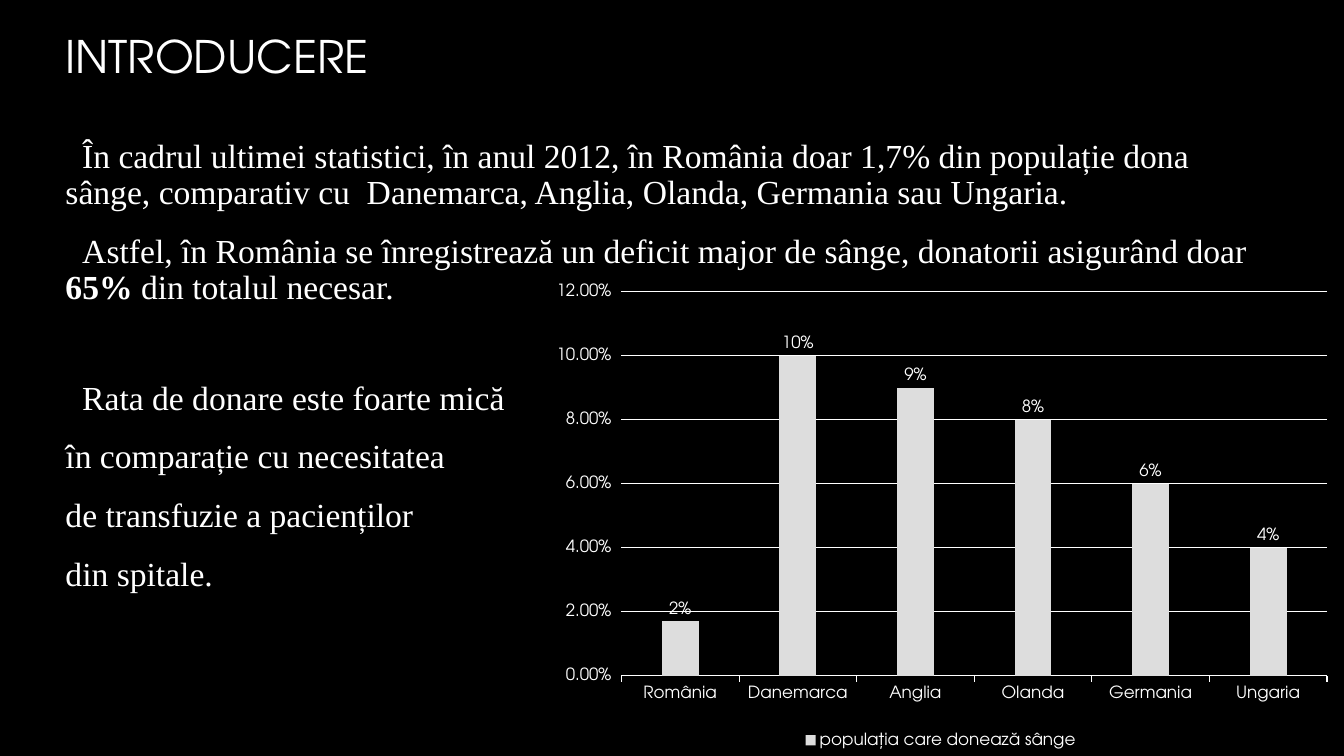
import pptx
import pptx.chart.data
import pptx.dml.color
import pptx.enum.chart
import pptx.enum.text
import pptx.oxml
import pptx.oxml.ns
import pptx.util

RGBColor = pptx.dml.color.RGBColor
BLACK = RGBColor(0x00, 0x00, 0x00)
WHITE = RGBColor(0xFF, 0xFF, 0xFF)
LIGHT_GREY = RGBColor(0xDD, 0xDD, 0xDD)

HEADING_FONT = "TeX Gyre Adventor"
BODY_FONT = "Times New Roman"
WIDTH, HEIGHT = 13.33, 7.5

GAP, WIDE_GAP = 16, 53  # points before a paragraph
INDENT = 12  # points
# (runs as (text, bold), first line indent, space before)
BODY = [
    ([("În cadrul ultimei statistici, în anul 2012, în România doar 1,7% din populație dona "
       "sânge, comparativ cu  Danemarca, Anglia, Olanda, Germania sau Ungaria.", False)],
     INDENT, GAP),
    ([("Astfel, în România se înregistrează un deficit major de sânge, donatorii asigurând doar ",
       False), ("65%", True), (" din totalul necesar.", False)], INDENT, GAP),
    ([("Rata de donare este foarte mică", False)], INDENT, WIDE_GAP),
    ([("în comparație cu necesitatea", False)], 0, GAP),
    ([("de transfuzie a pacienților", False)], 0, GAP),
    ([("din spitale.", False)], 0, GAP),
]

DONORS = {"România": 0.017, "Danemarca": 0.1, "Anglia": 0.09,
          "Olanda": 0.08, "Germania": 0.06, "Ungaria": 0.04}


def box_of(left, top, width, height):
    """Turn shares of the slide's size into lengths."""
    return [pptx.util.Inches(v) for v in
            (left * WIDTH, top * HEIGHT, width * WIDTH, height * HEIGHT)]


def style_font(font, size, name):
    font.size = pptx.util.Pt(size)
    font.name = name
    font.color.rgb = WHITE


def add_text_frame(s, box, anchor):
    tf = s.shapes.add_textbox(*box).text_frame
    tf.word_wrap = True
    tf.vertical_anchor = anchor
    tf.margin_left = tf.margin_right = pptx.util.Inches(0.13)
    tf.margin_top = tf.margin_bottom = pptx.util.Inches(0.07)
    return tf


def add_title(s, box):
    tf = add_text_frame(s, box, pptx.enum.text.MSO_ANCHOR.BOTTOM)
    p = tf.paragraphs[0]
    p.text = "INTRODUCERE"
    p.line_spacing = 0.8
    style_font(p.font, 32, HEADING_FONT)


def add_body(s, box):
    tf = add_text_frame(s, box, pptx.enum.text.MSO_ANCHOR.TOP)
    for i, (runs, indent, space) in enumerate(BODY):
        p = tf.add_paragraph() if i else tf.paragraphs[0]
        p.line_spacing = 0.9
        p.space_before = pptx.util.Pt(space)
        p._p.get_or_add_pPr().set("indent", str(pptx.util.Pt(indent)))
        style_font(p.font, 24, BODY_FONT)
        for text, bold in runs:
            r = p.add_run()
            r.text = text
            if bold:
                r.font.bold = True


def set_plot_area(chart, x, y, w, h):
    """Fix the inner plot area, in shares of the chart's size."""
    sizes = "".join(f'<c:{k} val="{v}"/>' for k, v in zip("xywh", (x, y, w, h)))
    layout = pptx.oxml.parse_xml(
        f'<c:layout {pptx.oxml.ns.nsdecls("c")}><c:manualLayout>'
        '<c:layoutTarget val="inner"/><c:xMode val="edge"/><c:yMode val="edge"/>'
        f'{sizes}</c:manualLayout></c:layout>')
    plot_area = chart._chartSpace.chart.plotArea
    for old in plot_area.findall(pptx.oxml.ns.qn("c:layout")):
        plot_area.remove(old)
    plot_area.insert(0, layout)


def style_line(line):
    line.color.rgb = WHITE
    line.width = pptx.util.Pt(0.75)


def add_donor_chart(s, box):
    data = pptx.chart.data.CategoryChartData(number_format="0.00%")
    data.categories = list(DONORS)
    data.add_series("populația care donează sânge", list(DONORS.values()))
    chart = s.shapes.add_chart(
        pptx.enum.chart.XL_CHART_TYPE.COLUMN_CLUSTERED, *box, data).chart
    style_font(chart.font, 12, HEADING_FONT)
    chart.has_title = False
    set_plot_area(chart, 0.104, 0.066, 0.875, 0.779)

    chart.has_legend = True
    chart.legend.position = pptx.enum.chart.XL_LEGEND_POSITION.BOTTOM
    chart.legend.include_in_layout = False
    style_font(chart.legend.font, 12, HEADING_FONT)

    style_line(chart.category_axis.format.line)
    axis = chart.value_axis
    axis.minimum_scale, axis.maximum_scale, axis.major_unit = 0, 0.12, 0.02
    axis.tick_labels.number_format = "0.00%"
    axis.tick_labels.number_format_is_linked = False
    axis.format.line.fill.background()
    style_line(axis.major_gridlines.format.line)

    plot = chart.plots[0]
    plot.vary_by_categories = False
    plot.gap_width, plot.overlap = 219, -27
    fill = plot.series[0].format.fill
    fill.solid()
    fill.fore_color.rgb = LIGHT_GREY
    plot.has_data_labels = True
    labels = plot.data_labels
    labels.show_value = True
    labels.number_format = "0%"
    labels.number_format_is_linked = False
    labels.position = pptx.enum.chart.XL_LABEL_POSITION.OUTSIDE_END
    style_font(labels.font, 12, HEADING_FONT)


def main():
    prs = pptx.Presentation()
    prs.slide_width = pptx.util.Inches(WIDTH)
    prs.slide_height = pptx.util.Inches(HEIGHT)
    s = prs.slides.add_slide(prs.slide_layouts[6])
    s.background.fill.solid()
    s.background.fill.fore_color.rgb = BLACK
    add_title(s, box_of(0.039, 0.003, 0.68, 0.115))
    add_body(s, box_of(0.039, 0.175, 0.916, 0.767))
    add_donor_chart(s, box_of(0.4, 0.343, 0.6, 0.652))
    prs.save("out.pptx")


if __name__ == "__main__":
    main()
